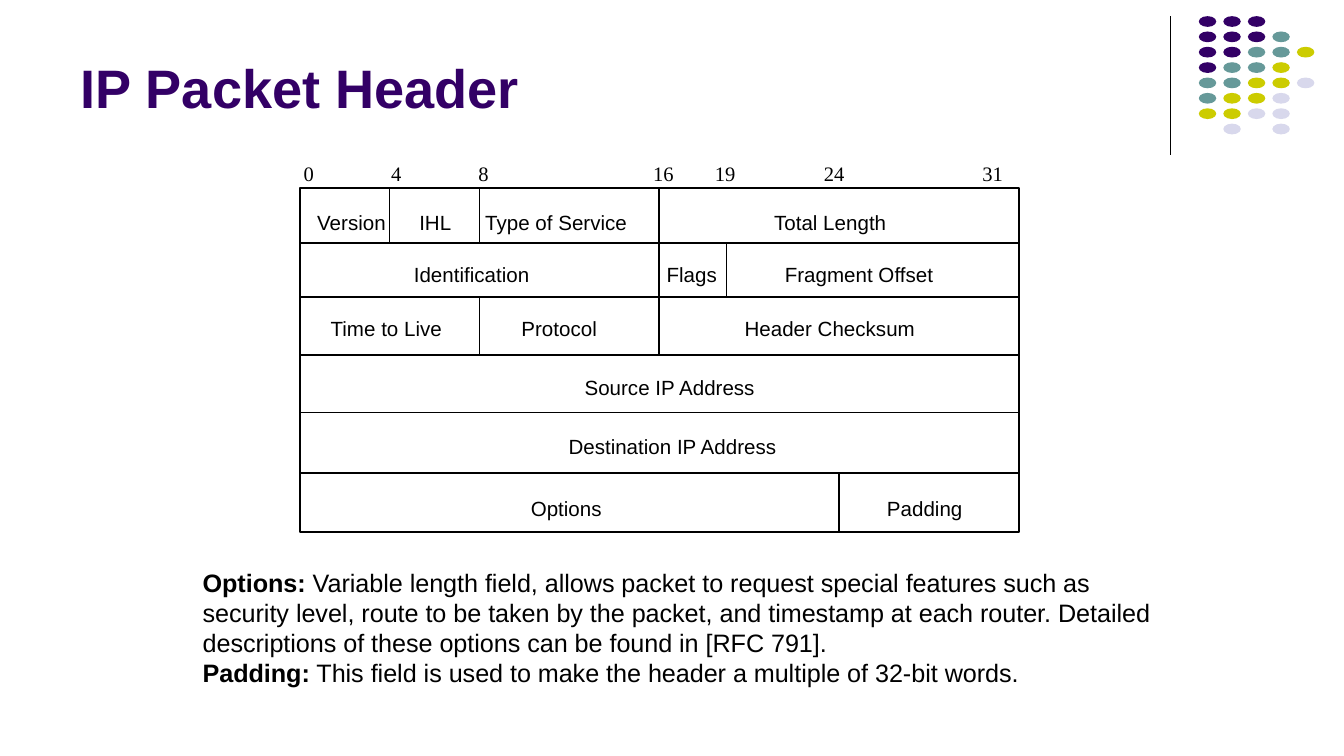
import pptx
import pptx.util
import pptx.dml.color
import pptx.enum.shapes
import pptx.enum.text
import pptx.oxml
import pptx.oxml.ns

Inches, Pt = pptx.util.Inches, pptx.util.Pt
RGB = pptx.dml.color.RGBColor.from_string
SHAPE = pptx.enum.shapes.MSO_SHAPE
TEXT = pptx.enum.text

TITLE = "IP Packet Header"
RULER = [("0", 2.26), ("4", 2.91), ("8", 3.56), ("16", 4.86), ("19", 5.32),
         ("24", 6.13), ("31", 7.31)]
FIELDS = [
    (1.56, [("Version", 2.36), ("IHL", 3.12), ("Type of Service", 3.61), ("Total Length", 5.76)]),
    (1.95, [("Identification", 3.08), ("Flags", 4.96), ("Fragment Offset", 5.84)]),
    (2.35, [("Time to Live", 2.46), ("Protocol", 3.88), ("Header Checksum", 5.54)]),
    (2.79, [("Source IP Address", 4.35)]),
    (3.23, [("Destination IP Address", 4.23)]),
    (3.69, [("Options", 3.95), ("Padding", 6.6)]),
]
ROW_EDGES = [1.4, 1.81, 2.21, 2.64, 3.07, 3.52, 3.96]
DIVIDERS = [(16, 0, 3), (8, 2, 3), (8, 0, 1), (4, 0, 1), (19, 1, 2), (24, 5, 6)]
NOTES = [
    ("Options:", " Variable length field, allows packet to request special features such as "
     "security level, route to be taken by the packet, and timestamp at each router. "
     "Detailed descriptions of these options can be found in [RFC 791]."),
    ("Padding:", " This field is used to make the header a multiple of 32-bit words."),
]
DOTS = ["PPP", "PPPT", "PPTTY", "PTTY", "TTYYL", "TYYL", "YYLL", " L L"]

THEME = {
    "dots": {"P": "330066", "T": "669999", "Y": "CCCC00", "L": "D8D8EC"},
    "ink": "000000",
    "title": {"name": "Arial", "size": Pt(29), "bold": True},
    "field": {"name": "Arial", "size": Pt(11)},
    "ruler": {"name": "Times New Roman", "size": Pt(11)},
    "note": {"name": "Arial", "size": Pt(13.5)},
    "rule": 0.75,
    "grid": 0.88,
}
LEFT, WIDTH, BITS = 2.23, 5.35, 32
RIGHT = LEFT + WIDTH


def style(font, fmt, color=THEME["ink"]):
    for key, value in fmt.items():
        setattr(font, key, value)
    font.color.rgb = RGB(color)


def line(s, x1, y1, x2, y2, weight):
    sp = s.shapes.add_connector(pptx.enum.shapes.MSO_CONNECTOR.STRAIGHT,
                                *map(Inches, (x1, y1, x2, y2)))
    sp.line.color.rgb = RGB(THEME["ink"])
    sp.line.width = Pt(weight)
    sp._element.spPr.append(pptx.oxml.parse_xml(
        "<a:effectLst %s/>" % pptx.oxml.ns.nsdecls("a")))


def tabbed_row(s, top, labels, fmt):
    left = labels[0][1]
    tf = s.shapes.add_textbox(*map(Inches, (left, top, RIGHT + 0.13 - left, 0.19))).text_frame
    tf.word_wrap = True
    for side in ("left", "right", "top", "bottom"):
        setattr(tf, "margin_" + side, 0)
    p = tf.paragraphs[0]
    stops = "".join('<a:tab pos="%d" algn="l"/>' % Inches(x - left) for _, x in labels[1:])
    if stops:
        p._p.get_or_add_pPr().append(pptx.oxml.parse_xml(
            "<a:tabLst %s>%s</a:tabLst>" % (pptx.oxml.ns.nsdecls("a"), stops)))
    r = p.add_run()
    r.text = "\t".join(label for label, _ in labels)
    style(r.font, fmt)


def add_dots(s):
    line(s, 8.71, 0.12, 8.71, 1.15, THEME["rule"])
    for row, pattern in enumerate(DOTS):
        for col, key in enumerate(pattern):
            if key == " ":
                continue
            sp = s.shapes.add_shape(SHAPE.OVAL, Inches(8.92 + col * 0.73 / 4),
                                    Inches(0.12 + row * 0.8 / 7), Inches(0.13), Inches(0.08))
            sp.shadow.inherit = False
            sp.fill.solid()
            sp.fill.fore_color.rgb = RGB(THEME["dots"][key])
            sp.line.fill.background()


def add_title(s):
    sp = s.shapes.title
    sp.left, sp.top, sp.width, sp.height = map(Inches, (0.5, 0.1, 8.25, 0.84))
    tf = sp.text_frame
    tf.auto_size = TEXT.MSO_AUTO_SIZE.NONE
    tf.vertical_anchor = TEXT.MSO_ANCHOR.BOTTOM
    p = tf.paragraphs[0]
    p.alignment = TEXT.PP_ALIGN.LEFT
    r = p.add_run()
    r.text = TITLE
    style(r.font, THEME["title"], THEME["dots"]["P"])


def add_header_grid(s):
    top, bottom = ROW_EDGES[0], ROW_EDGES[-1]
    sp = s.shapes.add_shape(SHAPE.RECTANGLE, *map(Inches, (LEFT, top, WIDTH, bottom - top)))
    sp.shadow.inherit = False
    sp.fill.background()
    sp.line.color.rgb = RGB(THEME["ink"])
    sp.line.width = Pt(THEME["grid"])
    for y in ROW_EDGES[1:-1]:
        line(s, LEFT, y, RIGHT, y, THEME["grid"])
    for bit, first, last in DIVIDERS:
        x = LEFT + WIDTH * bit / BITS
        line(s, x, ROW_EDGES[first], x, ROW_EDGES[last], THEME["grid"])
    for y, labels in FIELDS:
        tabbed_row(s, y, labels, THEME["field"])
    tabbed_row(s, 1.2, RULER, THEME["ruler"])


def add_notes(s):
    tf = s.shapes.add_textbox(*map(Inches, (1.41, 4.17, 7.34, 1.01))).text_frame
    tf.word_wrap = True
    for i, parts in enumerate(NOTES):
        p = tf.add_paragraph() if i else tf.paragraphs[0]
        for text, bold in zip(parts, (True, False)):
            r = p.add_run()
            r.text = text
            style(r.font, {**THEME["note"], "bold": bold})


def main():
    prs = pptx.Presentation()
    prs.slide_width = Inches(10)
    prs.slide_height = prs.slide_width * 9 // 16
    s = prs.slides.add_slide(prs.slide_layouts.get_by_name("Title Only"))
    for add in (add_dots, add_title, add_header_grid, add_notes):
        add(s)
    prs.save("out.pptx")


if __name__ == "__main__":
    main()
